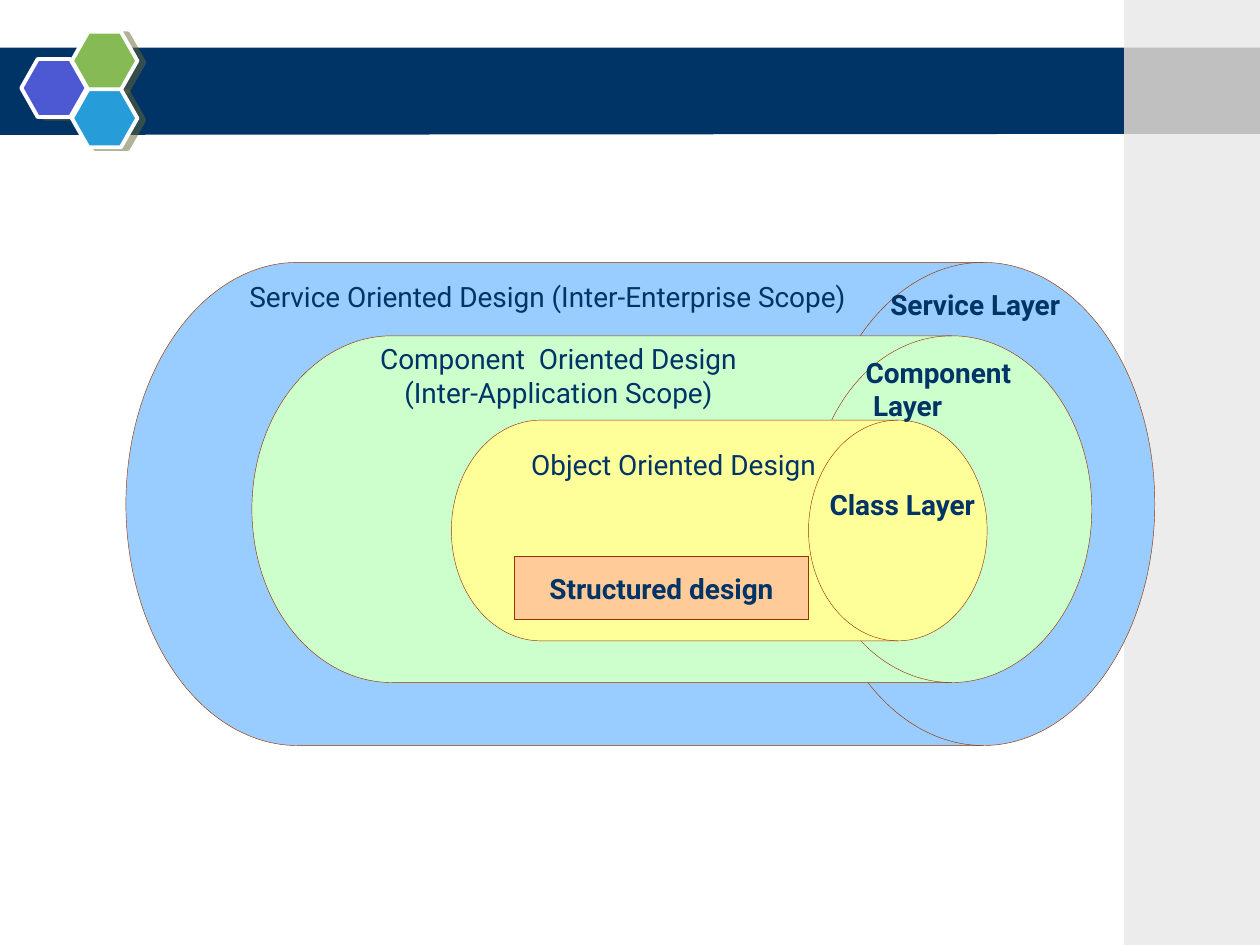
from lxml import etree
from pptx import Presentation
from pptx import util as u
from pptx.dml import color
from pptx.enum import shapes, text
from pptx.oxml import ns

KIND = shapes.MSO_SHAPE
ALIGN = text.PP_ALIGN
ANCHOR = text.MSO_ANCHOR


def rgb(value):
    return color.RGBColor.from_string(value)


def write(para, words, font="Roboto", size=16, ink="003366", bold=False, align=ALIGN.CENTER):
    para.alignment = align
    span = para.add_run()
    span.text = words
    span.font.name = font
    span.font.size = u.Pt(size)
    span.font.bold = bold
    span.font.color.rgb = rgb(ink)


class Painter:
    outline = "993300"
    hairline = 0.25

    def __init__(self, page):
        self.page = page

    def paint(self, shape, fill, line=None, width=hairline):
        shape.shadow.inherit = False
        shape.fill.solid()
        shape.fill.fore_color.rgb = rgb(fill)
        if line:
            shape.line.color.rgb = rgb(line)
            shape.line.width = u.Pt(width)
        else:
            shape.line.fill.background()
        return shape

    def shape(self, kind, left, top, width, height, fill, line=None, weight=hairline):
        shape = self.page.shapes.add_shape(
            kind, u.Cm(left), u.Cm(top), u.Cm(width), u.Cm(height))
        return self.paint(shape, fill, line, weight)

    def banner(self, points, fill):
        corners = [(u.Cm(x), u.Cm(y)) for x, y in points]
        builder = self.page.shapes.build_freeform(*corners[0])
        builder.add_line_segments(corners[1:], close=True)
        self.paint(builder.convert_to_shape(), fill)

    def hexagon(self, left, top, fill):
        shape = self.shape(KIND.HEXAGON, left, top, 1.32, 1.17, fill, "FFFFFF", 2.25)
        shape.adjustments[0] = 0.283
        shape.adjustments[1] = 1.155
        effects = shape._element.spPr.find(ns.qn("a:effectLst"))
        shadow = etree.SubElement(effects, ns.qn("a:outerShdw"), dist=str(u.Pt(4.1)),
                                  dir=str(14 * 60000), algn="ctr", rotWithShape="0")
        tint = etree.SubElement(shadow, ns.qn("a:srgbClr"), val="666633")
        etree.SubElement(tint, ns.qn("a:alpha"), val="50000")

    def drum(self, left, top, width, height, fill):
        self.shape(KIND.FLOWCHART_DIRECT_ACCESS_STORAGE, left, top, width, height,
                   fill, self.outline)

    def process(self, words, left, top, width, height, fill):
        shape = self.shape(KIND.FLOWCHART_PROCESS, left, top, width, height,
                           fill, self.outline)
        shape.text_frame.vertical_anchor = ANCHOR.MIDDLE
        shape.text_frame.word_wrap = False
        write(shape.text_frame.paragraphs[0], words, bold=True)

    def label(self, lines, left, top, width, height, anchor=ANCHOR.TOP, **style):
        box = self.page.shapes.add_textbox(u.Cm(left), u.Cm(top), u.Cm(width), u.Cm(height))
        frame = box.text_frame
        frame.word_wrap = True
        frame.vertical_anchor = anchor
        for index, words in enumerate(lines):
            para = frame.add_paragraph() if index else frame.paragraphs[0]
            write(para, words, **style)
        return frame


def main():
    deck = Presentation()
    deck.slide_width, deck.slide_height = u.Cm(25.4), u.Cm(19.05)
    painter = Painter(deck.slides.add_slide(deck.slide_layouts[6]))

    painter.banner([(-0.03, 0.96), (22.7, 0.96), (22.68, 2.7), (-0.03, 2.72)], "003366")
    for left, top, fill in [(0.43, 1.19, "4C59D2"), (1.45, 0.64, "85BA54"),
                            (1.45, 1.8, "269DD8")]:
        painter.hexagon(left, top, fill)
    painter.shape(KIND.RECTANGLE, 22.66, 0, 2.74, 19.05, "ECECEC")
    painter.shape(KIND.RECTANGLE, 22.66, 0.96, 2.74, 1.74, "C0C0C0")

    painter.drum(2.54, 5.29, 20.74, 9.74, "99CCFF")
    painter.drum(5.08, 6.77, 16.93, 6.99, "CCFFCC")
    painter.drum(9.1, 8.47, 10.8, 4.45, "FFFF99")

    painter.label(["Class Layer"], 16.19, 9.53, 4, 1.27, ANCHOR.MIDDLE, bold=True)
    painter.label(["Service Layer"], 17.41, 5.51, 4.5, 1.27, ANCHOR.MIDDLE, bold=True)
    layer = painter.label(["Component", "Layer"], 17.2, 7.2, 4, 1.27, ANCHOR.MIDDLE,
                          bold=True, align=ALIGN.LEFT)
    layer.paragraphs[1]._p.get_or_add_pPr().set("marL", str(u.Cm(0.15)))
    painter.process("Structured design", 10.37, 11.22, 5.93, 1.27, "FFCC99")

    painter.label(["Service Oriented Design (Inter-Enterprise Scope)"], 4.34, 5.51, 13.4, 0.94)
    painter.label(["Component  Oriented Design", "(Inter-Application Scope)"],
                  4.16, 6.77, 14.2, 1.63)
    painter.label(["Object Oriented Design"], 10.28, 8.89, 6.6, 0.94)

    deck.save("out.pptx")


if __name__ == "__main__":
    main()
